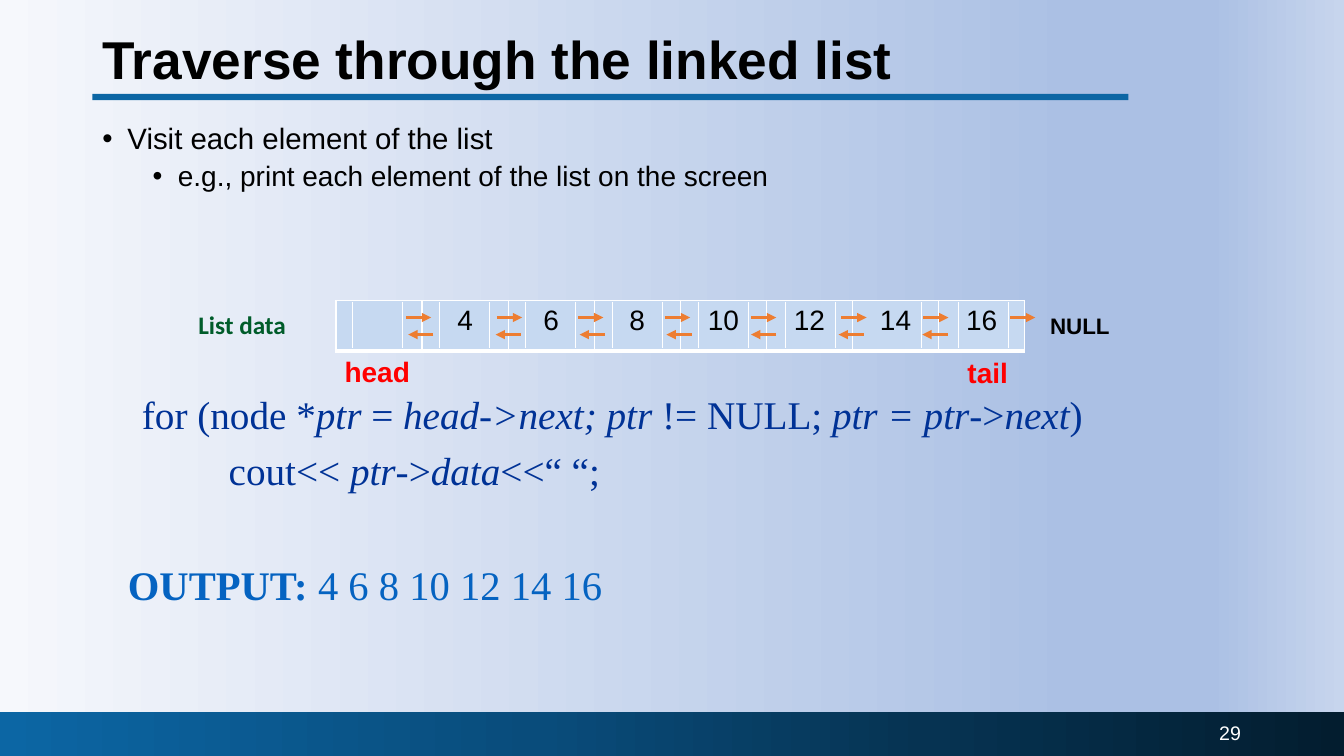
from lxml import etree
from pptx import Presentation
from pptx.dml.color import RGBColor
from pptx.enum.shapes import MSO_CONNECTOR, MSO_SHAPE
from pptx.enum.text import MSO_ANCHOR, PP_ALIGN
from pptx.oxml.ns import qn
from pptx.util import Pt

STRAIGHT = MSO_CONNECTOR.STRAIGHT
RECT = MSO_SHAPE.RECTANGLE
TOP, MIDDLE = MSO_ANCHOR.TOP, MSO_ANCHOR.MIDDLE
LEFT, CENTER, RIGHT = PP_ALIGN.LEFT, PP_ALIGN.CENTER, PP_ALIGN.RIGHT

COLORS = {
    "black": "000000", "white": "FFFFFF", "red": "FF0000", "green": "005C2A",
    "rule": "0C66A4", "code": "003296", "output": "0563C1",
    "cell": "C6D9F1", "arrow": "ED7D31",
}
BACKGROUND = [(0, "F6F8FC"), (80, "ABC0E4"), (90, "ABC0E4"), (100, "C7D5ED")]
FOOTER = [(0, "0C66A4"), (40, "094C7B"), (69, "063352"), (100, "031D2F")]

TITLE = "Traverse through the linked list"
# text, size, left indent
BULLETS = [
    ("Visit each element of the list", 21, 18),
    ("e.g., print each element of the list on the screen", 20, 54),
]
# left indent, then runs of text and italic flag
CODE = [
    (0, [("for (node *", False), ("ptr", True), (" = ", False),
         ("head->next; ptr", True), (" != NULL; ", False),
         ("ptr = ptr", True), ("->", False), ("next", True), (")", False)]),
    (62, [("cout<< ", False), ("ptr", True), ("->", False),
          ("data", True), ("<<“ “;", False)]),
]
OUTPUT = [("OUTPUT:", True), (" 4 6 8 10 12 14 16", False)]
NODES = ["", "4", "6", "8", "10", "12", "14", "16"]
# text, left, top, width, height, format
LABELS = [
    ("List data", 134.6, 217.4, 96, 29, dict(size=18, font="Calibri", color="green")),
    ("NULL", 743, 219.6, 62, 27, dict(size=16)),
    ("tail", 684, 250.6, 52, 31, dict(size=20, color="red")),
    ("head", 239, 249.8, 68, 31, dict(size=20, color="red")),
]

TABLE_X, TABLE_Y, CELL_W, CELL_H = 240, 214.6, 61.5, 36
DIVIDER_X, DIVIDER_PITCH, DATA_W = 252, 61.8, 35.6
DIVIDER_TOP, DIVIDER_BOTTOM = 216, 248.5
MISSING_DIVIDER = (6, 0)  # node, side
NEXT_X = [290, 355, 413, 475, 536.5, 601, 659.5, 721.5]
PREV_X = [309.6, 372, 432, 494, 554.4, 617, 676.8]
NEXT_Y, PREV_Y, ARROW_LEN = 226.8, 239, 18


def rgb(name):
    return RGBColor.from_string(COLORS[name])


def add_xml(parent, tag, **attrs):
    return etree.SubElement(parent, qn(tag), **attrs)


def set_gradient(fill, stops):
    """Fill from left to right with (percent, hex) stops."""
    fill.gradient()
    fill.gradient_angle = 0
    gs_list = fill._xPr.find(qn("a:gradFill")).find(qn("a:gsLst"))
    for gs in list(gs_list):
        gs_list.remove(gs)
    for percent, color in stops:
        gs = add_xml(gs_list, "a:gs", pos=str(percent * 1000))
        add_xml(gs, "a:srgbClr", val=color)


def add_run(p, text, *, size=20, font="Arial", color="black", bold=False, italic=False):
    r = p.add_run()
    r.text = text
    r.font.size = Pt(size)
    r.font.name = font
    r.font.bold = bold
    r.font.italic = italic
    r.font.color.rgb = rgb(color)


def add_box(s, x, y, w, h, *, anchor=TOP, wrap=True, inset=True):
    tf = s.shapes.add_textbox(Pt(x), Pt(y), Pt(w), Pt(h)).text_frame
    tf.word_wrap = wrap
    tf.vertical_anchor = anchor
    if not inset:
        tf.margin_left = tf.margin_right = tf.margin_top = tf.margin_bottom = 0
    return tf


def add_paragraph(tf, *, first, before=0, indent=0, bullet=False, spacing=0.9, align=LEFT):
    p = tf.paragraphs[0] if first else tf.add_paragraph()
    p.alignment = align
    p.line_spacing = spacing
    p.space_before = Pt(0 if first else before)
    pPr = p._p.get_or_add_pPr()
    pPr.set("marL", str(Pt(indent)))
    if bullet:
        pPr.set("indent", str(-Pt(18)))
        add_xml(pPr, "a:buFont", typeface="Arial")
        add_xml(pPr, "a:buChar", char="•")
    return p


def add_bar(s, x, y, w, h):
    bar = s.shapes.add_shape(RECT, Pt(x), Pt(y), Pt(w), Pt(h))
    bar.shadow.inherit = False
    bar.line.fill.background()
    return bar


def add_line(s, x1, y1, x2, y2, color, width, arrow=False):
    line = s.shapes.add_connector(STRAIGHT, Pt(x1), Pt(y1), Pt(x2), Pt(y2))
    line.line.color.rgb = rgb(color)
    line.line.width = Pt(width)
    if arrow:
        add_xml(line.line._get_or_add_ln(), "a:tailEnd", type="triangle")
    add_xml(line._element.spPr, "a:effectLst")


def add_node_table(s):
    table = s.shapes.add_table(1, len(NODES), Pt(TABLE_X), Pt(TABLE_Y),
                               Pt(CELL_W * len(NODES)), Pt(CELL_H)).table
    table.first_row = table.horz_banding = False
    for i, value in enumerate(NODES):
        table.columns[i].width = Pt(CELL_W)
        cell = table.cell(0, i)
        tcPr = cell._tc.get_or_add_tcPr()
        for side, width in (("L", 1), ("R", 1), ("T", 1), ("B", 3)):
            ln = add_xml(tcPr, f"a:ln{side}", w=str(Pt(width)))
            add_xml(add_xml(ln, "a:solidFill"), "a:srgbClr", val=COLORS["white"])
        cell.fill.solid()
        cell.fill.fore_color.rgb = rgb("cell")
        if value:
            p = add_paragraph(cell.text_frame, first=True, spacing=1.0, align=CENTER)
            add_run(p, value)


def add_links(s):
    """Draw the data dividers and the next and previous arrows."""
    for i in range(len(NODES)):
        for side in (0, 1):
            if (i, side) != MISSING_DIVIDER:
                x = DIVIDER_X + i * DIVIDER_PITCH + side * DATA_W
                add_line(s, x, DIVIDER_TOP, x, DIVIDER_BOTTOM, "white", 0.75)
    for xs, y, step in ((NEXT_X, NEXT_Y, ARROW_LEN), (PREV_X, PREV_Y, -ARROW_LEN)):
        for x in xs:
            add_line(s, x, y, x + step, y, "arrow", 2.25, arrow=True)


def main():
    prs = Presentation()
    prs.slide_width, prs.slide_height = Pt(960), Pt(540)
    s = prs.slides.add_slide(prs.slide_layouts[6])
    set_gradient(s.background.fill, BACKGROUND)

    set_gradient(add_bar(s, 0, 508.5, 960, 31.5).fill, FOOTER)
    title_rule = add_bar(s, 66, 67, 740, 4.6)
    title_rule.fill.solid()
    title_rule.fill.fore_color.rgb = rgb("rule")

    tf = add_box(s, 66, 8.2, 828, 72.7, anchor=MIDDLE)
    add_run(add_paragraph(tf, first=True), TITLE, size=38, bold=True)

    tf = add_box(s, 66, 85, 828, 60)
    for i, (text, size, indent) in enumerate(BULLETS):
        p = add_paragraph(tf, first=i == 0, before=5, indent=indent, bullet=True)
        add_run(p, text, size=size)

    add_node_table(s)
    add_links(s)
    for text, x, y, w, h, fmt in LABELS:
        p = add_paragraph(add_box(s, x, y, w, h, wrap=False), first=True, spacing=1.0)
        add_run(p, text, bold=True, **fmt)

    tf = add_box(s, 101.4, 282.6, 780, 72, inset=False)
    for i, (indent, runs) in enumerate(CODE):
        p = add_paragraph(tf, first=i == 0, before=10, indent=indent)
        for text, italic in runs:
            add_run(p, text, size=28, font="Times New Roman", color="code", italic=italic)

    p = add_paragraph(add_box(s, 91.4, 403.6, 780, 32, inset=False), first=True)
    for text, bold in OUTPUT:
        add_run(p, text, size=29, font="Times New Roman", color="output", bold=bold)

    tf = add_box(s, 677.5, 509, 216, 28.8, anchor=MIDDLE)
    p = add_paragraph(tf, first=True, spacing=1.0, align=RIGHT)
    add_run(p, "29", size=14, color="white")

    prs.save("out.pptx")


if __name__ == "__main__":
    main()
